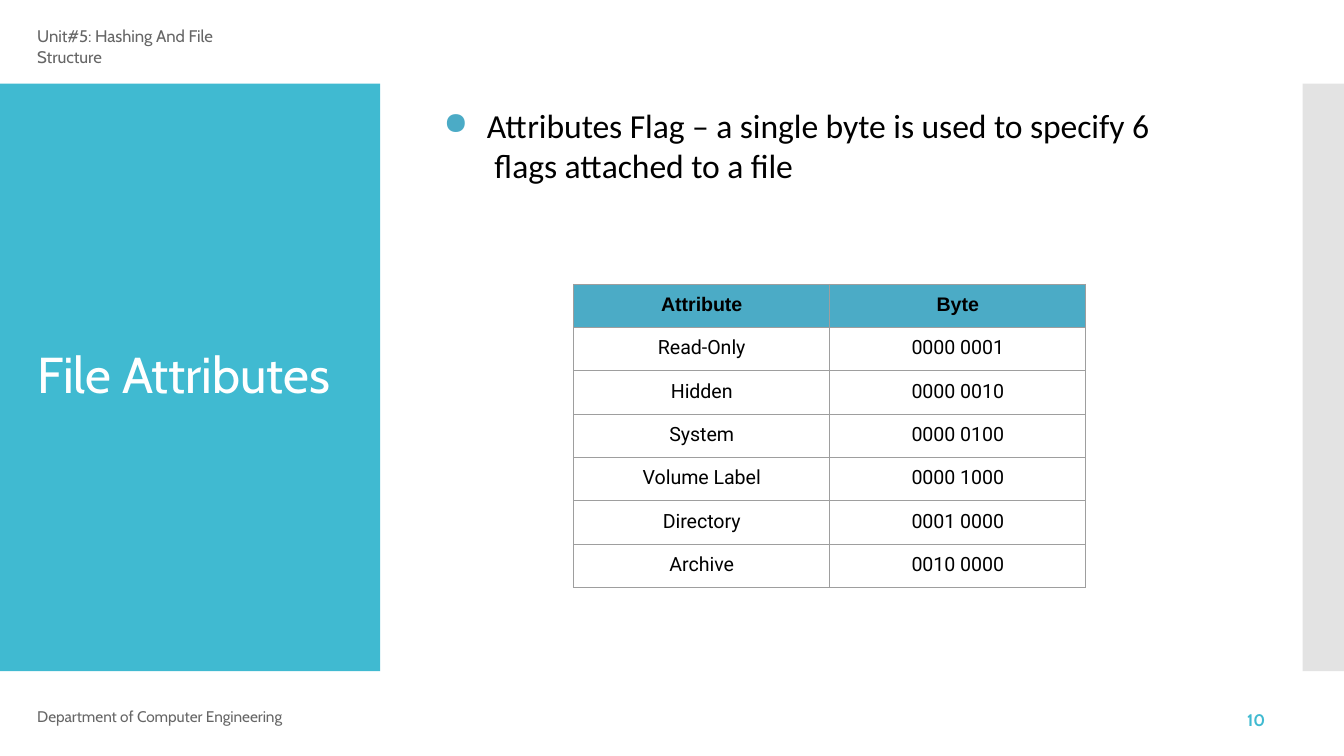
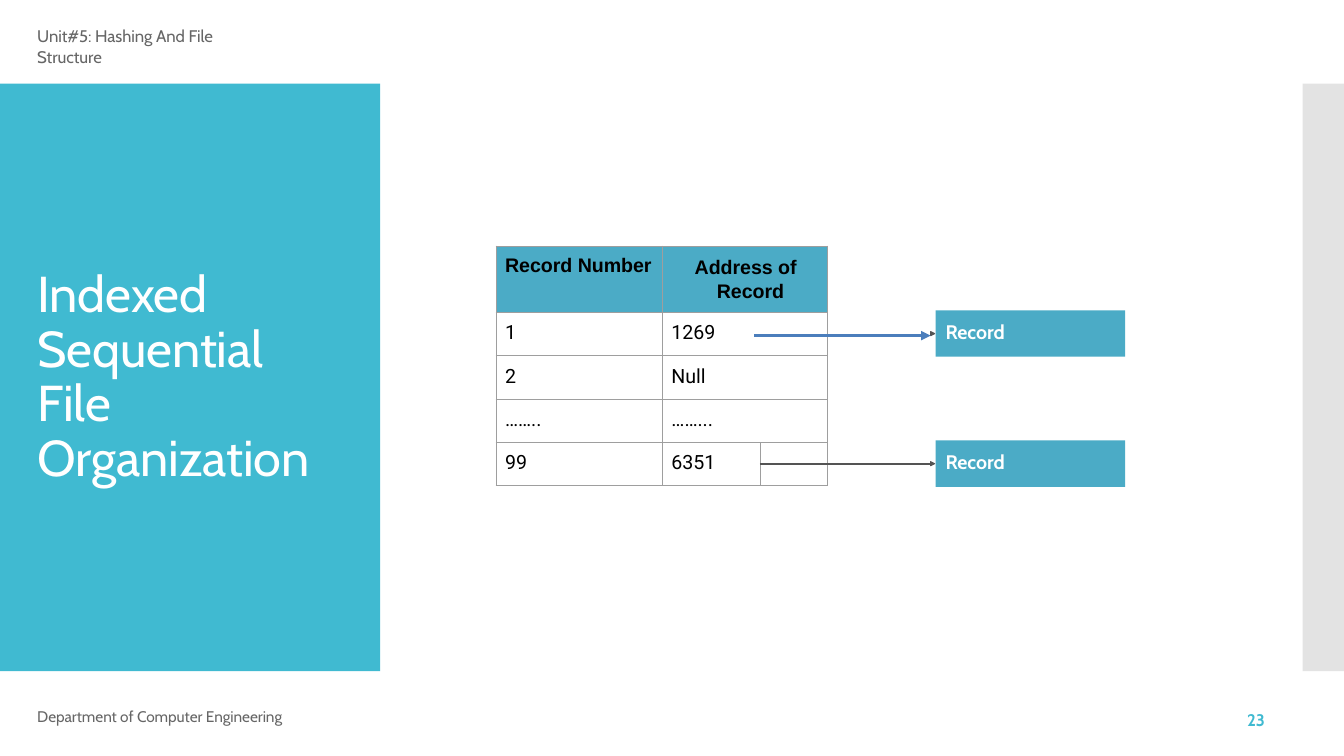
"""Build two slides on file attributes and indexed sequential files."""
from dataclasses import dataclass
from lxml.etree import SubElement
from pptx import Presentation
from pptx.dml.color import RGBColor
from pptx.enum.shapes import MSO_CONNECTOR, MSO_SHAPE
from pptx.enum.text import MSO_ANCHOR, PP_ALIGN
from pptx.oxml.ns import qn
from pptx.util import Pt

PX = 9144


@dataclass(frozen=True)
class Theme:
    teal: str = "40BAD1"
    blue: str = "4BABC6"
    pale: str = "E3E3E3"
    gray: str = "666666"
    rule: str = "9E9E9E"
    dark: str = "545454"
    line: str = "4B7EBC"
    ink: str = "000000"
    white: str = "FFFFFF"
    title: int = 36
    body: int = 24
    cell: int = 14
    head: int = 12
    foot: int = 11


theme = Theme()
looks = {
    "title": ("Cabin", theme.title, theme.white, False),
    "body": ("Calibri", theme.body, theme.ink, False),
    "head": ("Cabin", theme.head, theme.gray, False),
    "foot": ("Cabin", theme.foot, theme.gray, False),
    "number": ("Cabin", theme.head, theme.teal, True),
    "record": ("Cabin", theme.cell, theme.white, True),
    "top": ("Arial", theme.cell, theme.ink, True),
    "cell": ("Roboto", theme.cell, theme.ink, False),
}


def write(host, text, look, left=0, top=0, **form):
    name, size, color, bold = looks[look]
    pads = {"margin_left": left * PX, "margin_top": top * PX, "margin_right": 0,
            "margin_bottom": 0, "vertical_anchor": MSO_ANCHOR.TOP}
    for key, value in pads.items():
        setattr(host, key, value)
    frame = getattr(host, "text_frame", host)
    frame.word_wrap = True
    para = frame.paragraphs[0]
    para.text = text
    for key, value in ({"alignment": PP_ALIGN.LEFT} | form).items():
        setattr(para, key, value)
    for run in para.runs:
        for key, value in {"name": name, "size": Pt(size), "bold": bold}.items():
            setattr(run.font, key, value)
        run.font.color.rgb = RGBColor.from_string(color)
        run.font._element.set("spc", "-5")
    return para._p.get_or_add_pPr()


def grid(slide, left, top, cols, rows, texts, edges, spans=(), **form):
    table = slide.shapes.add_table(len(rows), len(cols), left * PX, top * PX,
                                   sum(cols) * PX, sum(rows) * PX).table
    for col, width in zip(table.columns, cols):
        col.width = width * PX
    for row, height in zip(table.rows, rows):
        row.height = height * PX
    for start, end in spans:
        table.cell(*start).merge(table.cell(*end))
    for r in range(len(rows)):
        for c in range(len(cols)):
            cell = table.cell(r, c)
            text = texts.get((r, c), "")
            props = write(cell, text, "cell" if r else "top", top=9, **form)
            if not text:
                cell.margin_top = 0
                SubElement(props.getparent(), qn("a:endParaRPr"), sz="600")
            for side in "LRTB":
                color, width = edges(r, c, side)
                line = SubElement(cell._tc.get_or_add_tcPr(), qn("a:ln" + side),
                                  w=str(Pt(width)))
                if color:
                    fill = SubElement(line, qn("a:solidFill"))
                    SubElement(fill, qn("a:srgbClr"), val=color)
                else:
                    SubElement(line, qn("a:noFill"))
            if text and r == 0:
                cell.fill.solid()
                cell.fill.fore_color.rgb = RGBColor.from_string(theme.blue)
            else:
                cell.fill.background()
    return table


deck = Presentation()
deck.slide_width, deck.slide_height = 1333 * PX, 750 * PX

pages = [
    ("10", "File Attributes", (36, 339, 300, 63), 1, {}),
    ("23", "Indexed Sequential File Organization", (36, 258, 273, 225), 8,
     {"line_spacing": Pt(39)}),
]
for number, title, place, inset, form in pages:
    slide = deck.slides.add_slide(deck.slide_layouts[6])
    for left, width, color in ((0, 377, theme.teal), (1292, 41, theme.pale)):
        band = slide.shapes.add_shape(MSO_SHAPE.RECTANGLE, left * PX, 83 * PX,
                                      width * PX, 583 * PX)
        band.shadow.inherit = False
        band.fill.solid()
        band.fill.fore_color.rgb = RGBColor.from_string(color)
        band.line.fill.background()
    notes = [
        ("Unit#5: Hashing And File Structure", "head", (36, 25, 220, 40), 1, 1, {}),
        ("Department of Computer Engineering", "foot", (36, 704, 260, 18), 1, 0,
         {"line_spacing": Pt(11.4)}),
        (number, "number", (1233, 707, 26, 19), 4, 0, {"line_spacing": Pt(12.3)}),
        (title, "title", place, 1, inset, form),
    ]
    for text, look, spot, left, top, extra in notes:
        box = slide.shapes.add_textbox(*(n * PX for n in spot))
        write(box.text_frame, text, look, left, top, **extra)

first, second = deck.slides

box = first.shapes.add_textbox(438 * PX, 103 * PX, 708 * PX, 83 * PX)
props = write(box.text_frame,
              "Attributes Flag – a single byte is used to specify 6\v flags attached to a file",
              "body", top=1)
props.set("marL", str(45 * PX))
props.set("indent", str(-43 * PX))
SubElement(SubElement(props, qn("a:buClr")), qn("a:srgbClr"), val=theme.blue)
SubElement(props, qn("a:buSzPct"), val="92000")
SubElement(props, qn("a:buChar"), char="●")

names = ("Read-Only", "Hidden", "System", "Volume Label", "Directory", "Archive")
flags = {(0, 0): "Attribute", (0, 1): "Byte"}
for i, name in enumerate(names):
    byte = f"{1 << i:08b}"
    flags |= {(i + 1, 0): name, (i + 1, 1): f"{byte[:4]} {byte[4:]}"}
grid(first, 569, 282, [254] * 2, [43] * 7, flags,
     lambda r, c, side: (theme.rule, 0.75), alignment=PP_ALIGN.CENTER)


def edge(r, c, side):
    if c > 1 and (r, side) in ((4, "B"), (5, "T")) or (r, c, side) == (0, 3, "B"):
        return theme.dark, 1.5
    return (theme.rule if c < 3 or side == "L" else None), 0.75


index = [("Record Number", "Address of Record"), ("1", "1269"), ("2", "Null"),
         ("……..", "……..."), ("99", "6351")]
texts = {(r, c): text for r, pair in enumerate(index) for c, text in enumerate(pair)}
spans = [((r, 1), (r, 2)) for r in range(4)]
spans += [((4, c), (5, c)) for c in (0, 1)] + [((0, 3), (4, 3))]
table = grid(second, 492, 244, [165, 97, 67, 101], [66, 43, 43, 43, 21, 22],
             texts, edge, spans)
for r in range(5):
    for c in (0, 1):
        table.cell(r, c).margin_left = 9 * PX
label = table.cell(0, 1)
label.margin_left, label.margin_top = 0, 10 * PX
para = label.text_frame.paragraphs[0]
para.line_spacing = Pt(16.5)
props = para._p.get_or_add_pPr()
props.set("marL", str(54 * PX))
props.set("indent", str(-22 * PX))

for top in (308, 437):
    card = second.shapes.add_shape(MSO_SHAPE.RECTANGLE, 928 * PX, top * PX,
                                   188 * PX, 46 * PX)
    pen = second.shapes.build_freeform(923, top + 21, scale=PX)
    pen.add_line_segments([(927, top + 23), (923, top + 25)], close=True)
    tip = pen.convert_to_shape()
    for shape, color in ((card, theme.blue), (tip, theme.dark)):
        shape.shadow.inherit = False
        shape.fill.solid()
        shape.fill.fore_color.rgb = RGBColor.from_string(color)
        shape.line.fill.background()
    tip.line.color.rgb = RGBColor.from_string(theme.dark)
    tip.line.width = Pt(0.75)
    write(card.text_frame, "Record", "record", 10, 9)

arrow = second.shapes.add_connector(MSO_CONNECTOR.STRAIGHT, 748 * PX, 333 * PX,
                                    923 * PX, 333 * PX)
arrow.line.color.rgb = RGBColor.from_string(theme.line)
arrow.line.width = Pt(2.25)
SubElement(arrow.line._get_or_add_ln(), qn("a:tailEnd"), type="triangle")
SubElement(arrow._element.spPr, qn("a:effectLst"))

deck.save("out.pptx")
